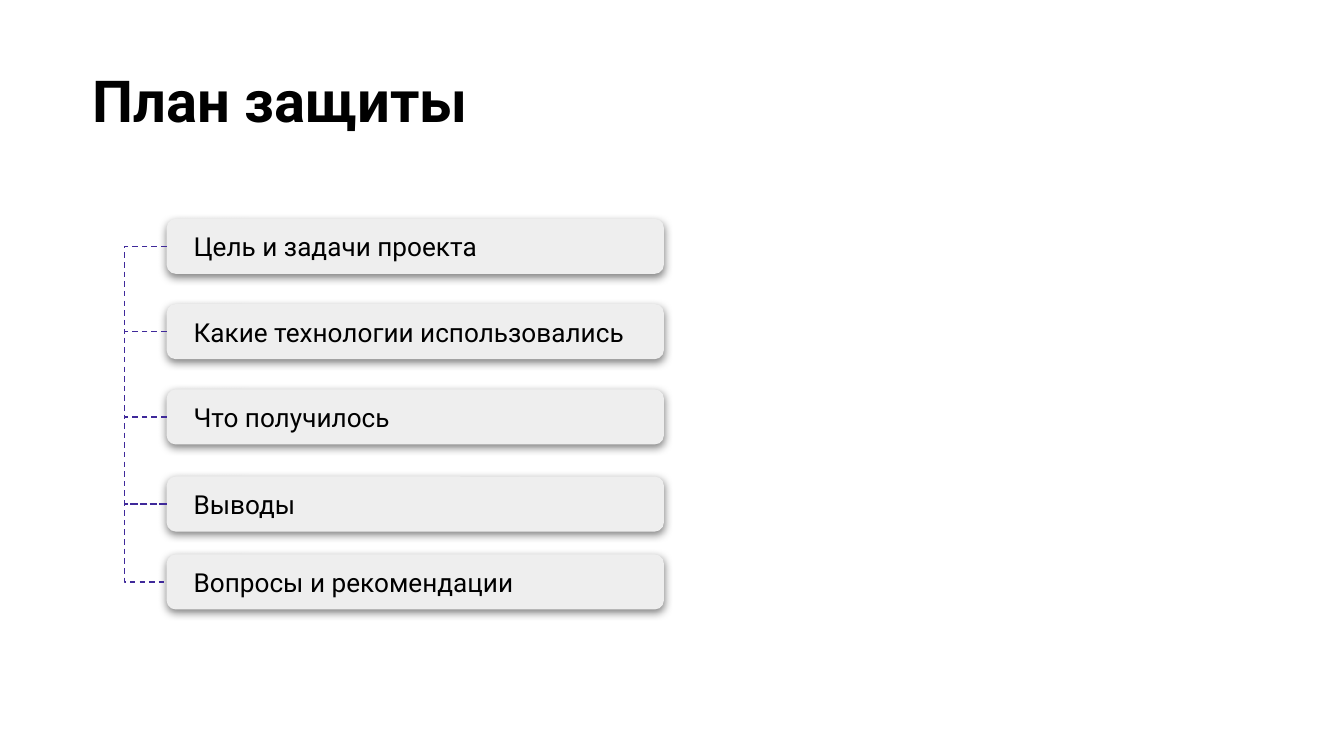
import pptx
import pptx.dml.color
import pptx.enum.dml
import pptx.enum.shapes
import pptx.enum.text
import pptx.oxml
import pptx.oxml.ns
import pptx.util

Pt = pptx.util.Pt

# Content: each topic with the top of its box
TITLE = "План защиты"
TOPICS = [
    ("Цель и задачи проекта", 117.2),
    ("Какие технологии использовались", 162.9),
    ("Что получилось", 208.6),
    ("Выводы", 255.3),
    ("Вопросы и рекомендации", 297),
]

# Style
FONT = "Roboto"
BLACK = pptx.dml.color.RGBColor(0x00, 0x00, 0x00)
GREY = pptx.dml.color.RGBColor(0xEE, 0xEE, 0xEE)
VIOLET = pptx.dml.color.RGBColor(0x3F, 0x29, 0x9A)
BOX_LEFT, BOX_WIDTH, BOX_HEIGHT = 89.3, 266.4, 29.5
BRACKET_WIDTH, BRACKET_BEND = 0.03, -397
LEFT_SIDE = 1
SHADOW = (
    f'<a:effectLst {pptx.oxml.ns.nsdecls("a")}>'
    f'<a:outerShdw blurRad="{Pt(4.5)}" dist="{Pt(1.5)}" dir="5400000" '
    'algn="bl" rotWithShape="0"><a:srgbClr val="000000">'
    '<a:alpha val="50000"/></a:srgbClr></a:outerShdw></a:effectLst>'
)
NO_EFFECT = f'<a:effectLst {pptx.oxml.ns.nsdecls("a")}/>'


def write(shape, text, size, bold, anchor, inset_x, inset_y):
    frame = shape.text_frame
    frame.text = text
    frame.word_wrap = True
    frame.auto_size = pptx.enum.text.MSO_AUTO_SIZE.NONE
    frame.vertical_anchor = anchor
    frame.margin_left = frame.margin_right = Pt(inset_x)
    frame.margin_top = frame.margin_bottom = Pt(inset_y)
    paragraph = frame.paragraphs[0]
    paragraph.alignment = pptx.enum.text.PP_ALIGN.LEFT
    paragraph.font.name = FONT
    paragraph.font.size = Pt(size)
    paragraph.font.bold = bold
    paragraph.font.color.rgb = BLACK


def add_topic(slide, text, top):
    box = slide.shapes.add_shape(
        pptx.enum.shapes.MSO_SHAPE.ROUNDED_RECTANGLE,
        Pt(BOX_LEFT), Pt(top), Pt(BOX_WIDTH), Pt(BOX_HEIGHT))
    box.adjustments[0] = 0.167
    box.fill.solid()
    box.fill.fore_color.rgb = GREY
    box.line.fill.background()
    box._element.spPr.append(pptx.oxml.parse_xml(SHADOW))
    write(box, text, 14, False, pptx.enum.text.MSO_ANCHOR.MIDDLE, 13, 26.6)
    return box


def add_bracket(slide, upper, lower):
    # Starting at the boxes keeps the connector unflipped, bending left
    bracket = slide.shapes.add_connector(
        pptx.enum.shapes.MSO_CONNECTOR.ELBOW,
        upper.left, upper.top + upper.height // 2,
        lower.left, lower.top + lower.height // 2)
    bracket.begin_connect(upper, LEFT_SIDE)
    bracket.end_connect(lower, LEFT_SIDE)
    # The bend is a multiple of the width, so the width must not be zero
    bracket.width = Pt(BRACKET_WIDTH)
    properties = bracket._element.spPr
    guides = properties.find(pptx.oxml.ns.qn("a:prstGeom")).get_or_add_avLst()
    guides.append(pptx.oxml.parse_xml(
        f'<a:gd {pptx.oxml.ns.nsdecls("a")} name="adj1" '
        f'fmla="val {BRACKET_BEND * 100000}"/>'))
    bracket.line.color.rgb = VIOLET
    bracket.line.width = Pt(0.75)
    bracket.line.dash_style = pptx.enum.dml.MSO_LINE.DASH
    properties.append(pptx.oxml.parse_xml(NO_EFFECT))


def main():
    deck = pptx.Presentation()
    deck.slide_width, deck.slide_height = Pt(720), Pt(405)
    slide = deck.slides.add_slide(deck.slide_layouts[5])

    # Title
    title = slide.shapes.title
    title.left, title.top = Pt(42.5), Pt(27.4)
    title.width, title.height = Pt(670.3), Pt(82)
    write(title, TITLE, 31, True, pptx.enum.text.MSO_ANCHOR.TOP, 7.2, 7.2)

    # Topics, each bracketed to the next
    boxes = [add_topic(slide, text, top) for text, top in TOPICS]
    for upper, lower in zip(boxes, boxes[1:]):
        add_bracket(slide, upper, lower)

    deck.save("out.pptx")


if __name__ == "__main__":
    main()
